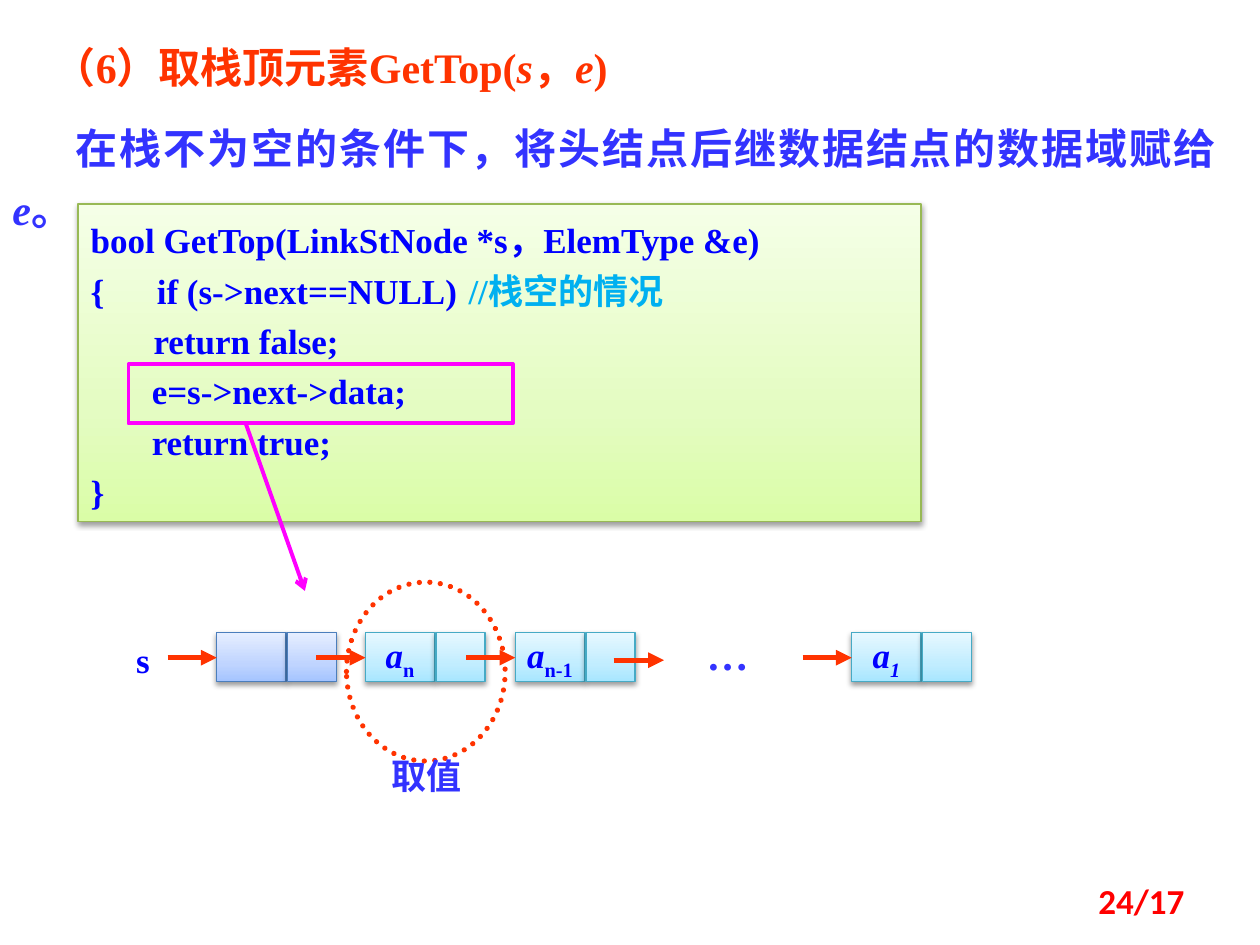
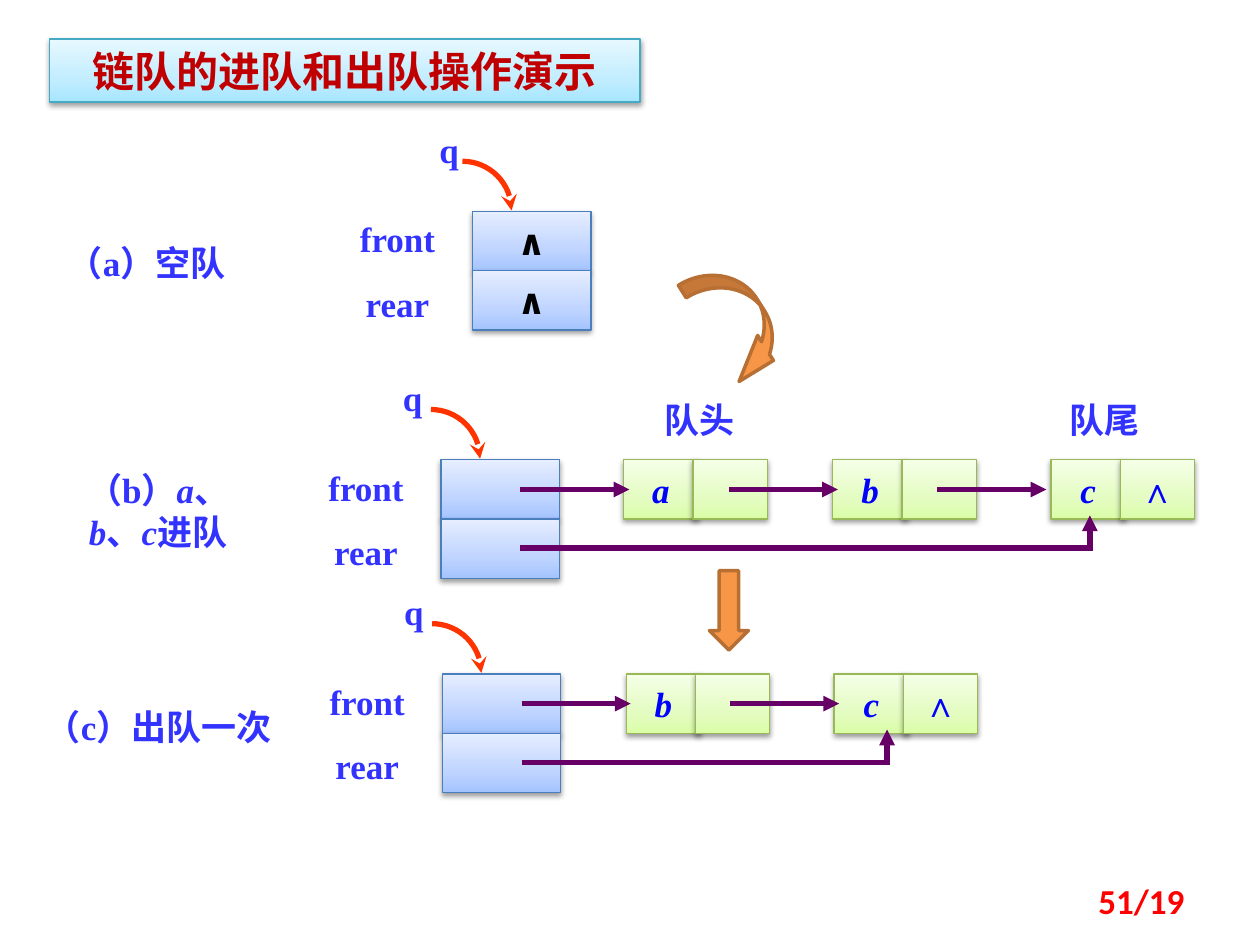
from dataclasses import dataclass
from math import cos, pi, sin
from typing import NamedTuple

from lxml import etree
from pptx import Presentation
from pptx.dml.color import RGBColor
from pptx.enum.dml import MSO_LINE
from pptx.enum.shapes import MSO_CONNECTOR, MSO_SHAPE as Preset
from pptx.enum.text import MSO_ANCHOR as Anchor, PP_ALIGN as Align
from pptx.oxml.ns import qn
from pptx.util import Inches, Pt

# Shared look
COLORS = {
    "heading": "FF3300", "body": "3333FF", "code": "0000FF", "comment": "00B0F0",
    "title": "C00000", "page": "FF0000", "black": "000000", "pointer": "FF3300",
    "link": "660066", "highlight": "FF00FF", "step": "F79646", "step_edge": "B76F34",
}
SERIF, SANS, CJK = "Times New Roman", "Calibri", "Noto Sans CJK SC"


class Shade(NamedTuple):
    stops: tuple[str, str, str]
    edge: str


BLUE = Shade(("A4C4FF", "BFD4FF", "E6EEFF"), "4B7EBC")
CYAN = Shade(("A7E6FF", "C1EDFF", "E7F8FF"), "46AAC5")
GREEN = Shade(("DAFDA7", "E4FCC2", "F5FFE7"), "98B955")


class Span(NamedTuple):
    text: str
    italic: bool = False
    color: str = ""
    sub: bool = False


@dataclass
class Style:
    size: int = 20
    color: str = "body"
    font: str = SERIF
    align: Align = Align.CENTER


@dataclass
class ListNode:
    left: float
    shade: Shade
    label: tuple[Span, ...] = ()


@dataclass
class Queue:
    left: float
    top: float
    q_left: float
    nodes: tuple[tuple[float, str], ...] = ()
    rear_tip: float = 0
    mark: str = ""


LABEL = Style()
VALUE = Style(color="code")
CODE = Style(color="code", align=Align.LEFT)
HEADING = Style(24, "heading", align=Align.JUSTIFY)
INTRO = Style(24, "body", align=Align.JUSTIFY)
TITLE = Style(24, "title", CJK)
NULL_MARK = Style(color="black", font=SANS)
PAGE = Style(color="page", font=SANS, align=Align.RIGHT)


def rgb(name: str) -> RGBColor:
    return RGBColor.from_string(COLORS.get(name, name))


def write(paragraph, spans: tuple[Span, ...], style: Style) -> None:
    paragraph.alignment = style.align
    for span in spans:
        run = paragraph.add_run()
        run.text = span.text
        font = run.font
        font.size, font.bold, font.italic = Pt(style.size), True, span.italic
        font.color.rgb = rgb(span.color or style.color)
        font.name = style.font
        properties = run.element if hasattr(run, "element") else run._r
        properties = properties.get_or_add_rPr()
        etree.SubElement(properties, qn("a:ea")).set("typeface", CJK)
        if span.sub:
            properties.set("baseline", "-25000")


def add_text(slide, left, top, width, height, spans, style=LABEL):
    if isinstance(spans, str):
        spans = (Span(spans),)
    box = slide.shapes.add_textbox(Inches(left), Inches(top), Inches(width), Inches(height))
    box.text_frame.word_wrap = True
    write(box.text_frame.paragraphs[0], spans, style)
    return box.text_frame


def outline(shape, color: str, width: float, tail: str = "") -> None:
    shape.line.color.rgb = rgb(color)
    shape.line.width = Pt(width)
    if tail:
        ln = shape.element.spPr.find(qn("a:ln"))
        etree.SubElement(ln, qn("a:tailEnd")).set("type", tail)


def add_preset(slide, preset, left, top, width, height, color, line_width, fill=""):
    shape = slide.shapes.add_shape(preset, Inches(left), Inches(top), Inches(width), Inches(height))
    shape.shadow.inherit = False
    if fill:
        shape.fill.solid()
        shape.fill.fore_color.rgb = rgb(fill)
    else:
        shape.fill.background()
    outline(shape, color, line_width)
    return shape


def add_color(parent, color: str):
    element = etree.SubElement(parent, qn("a:srgbClr"))
    element.set("val", color)
    return element


def add_cell(slide, left, top, width, height, shade: Shade, spans=(), style=VALUE):
    """Shaded, shadowed rectangle with centred content."""
    cell = add_preset(slide, Preset.RECTANGLE, left, top, width, height, shade.edge, 0.75)
    cell.fill.gradient()
    cell.fill.gradient_angle = 90
    properties = cell.element.spPr
    stops = properties.find(".//" + qn("a:gsLst"))
    for stop in list(stops):
        stops.remove(stop)
    for position, color in zip((0, 35000, 100000), shade.stops):
        stop = etree.SubElement(stops, qn("a:gs"))
        stop.set("pos", str(position))
        add_color(stop, color)
    shadow = etree.SubElement(properties.find(qn("a:effectLst")), qn("a:outerShdw"))
    for key, value in (("blurRad", Pt(3.1)), ("dist", Pt(1.6)), ("dir", 5400000), ("rotWithShape", 0)):
        shadow.set(key, str(int(value)))
    etree.SubElement(add_color(shadow, COLORS["black"]), qn("a:alpha")).set("val", "38000")
    frame = cell.text_frame
    frame.word_wrap, frame.vertical_anchor = False, Anchor.MIDDLE
    write(frame.paragraphs[0], spans, style)
    return cell


def add_line(slide, x1, y1, x2, y2, color, width=3.0, tail="triangle") -> None:
    line = slide.shapes.add_connector(
        MSO_CONNECTOR.STRAIGHT, Inches(x1), Inches(y1), Inches(x2), Inches(y2))
    outline(line, color, width, tail)
    etree.SubElement(line.element.spPr, qn("a:effectLst"))


def add_quarter_arrow(slide, left, top, radius=0.39, steps=16) -> None:
    angles = [pi / 2 * step / steps for step in range(steps + 1)]
    points = [(Inches(left + radius * sin(a)), Inches(top + radius * (1 - cos(a)))) for a in angles]
    builder = slide.shapes.build_freeform(*points[0])
    builder.add_line_segments(points[1:], close=False)
    curve = builder.convert_to_shape()
    curve.shadow.inherit = False
    curve.fill.background()
    outline(curve, "pointer", 3, "stealth")


def add_page_number(slide, text: str) -> None:
    add_text(slide, 7.17, 6.95, 2.33, 0.4, text, PAGE).vertical_anchor = Anchor.MIDDLE


def draw_list_node(slide, node: ListNode) -> None:
    add_cell(slide, node.left, 5.02, 0.55, 0.39, node.shade, node.label)
    add_cell(slide, node.left + 0.56, 5.02, 0.39, 0.39, node.shade)


def draw_queue(slide, queue: Queue) -> None:
    x, y = queue.left, queue.top
    cell_height, link_start, node_step = 0.47, 0.63, 1.655
    # Queue header: front and rear pointers
    for row, name in enumerate(("front", "rear")):
        spans = (Span(queue.mark),) if queue.mark else ()
        add_cell(slide, x, y + row * cell_height, 0.94, cell_height, BLUE, spans, NULL_MARK)
        add_text(slide, x - 1.03, y + row * 0.51, 0.87, 0.43, name)
    add_quarter_arrow(slide, x - 0.08, y - 0.4)
    add_text(slide, queue.q_left, y - 0.71, 0.47, 0.44, "q")
    # Data nodes; the last one ends the chain
    for index, (offset, value) in enumerate(queue.nodes):
        end = (Span("∧"),) if index == len(queue.nodes) - 1 else ()
        add_cell(slide, x + offset, y, 0.59, cell_height, GREEN, (Span(value, True),))
        add_cell(slide, x + offset + 0.55, y, 0.59, cell_height, GREEN, end)
    for index in range(len(queue.nodes)):
        start = x + link_start + index * node_step
        add_line(slide, start, y + 0.235, start + 0.865, y + 0.235, "link")
    if queue.nodes:
        tip = x + queue.rear_tip
        add_line(slide, x + link_start, y + 0.7, tip, y + 0.7, "link", tail="")
        add_line(slide, tip, y + 0.72, tip, y + 0.44, "link")


def build_get_top(slide) -> None:
    # Heading and explanation
    frame = add_text(slide, 0, 0.36, 9.75, 1.11, (
        Span("（6）取栈顶元素GetTop("), Span("s", True), Span("，"), Span("e", True), Span(")")), HEADING)
    heading, intro = frame.paragraphs[0], frame.add_paragraph()
    write(intro, (Span("在栈不为空的条件下，将头结点后继数据结点的数据域赋给"),
                  Span("e", True), Span("。")), INTRO)
    heading.line_spacing, intro.line_spacing, intro.space_before = 0.8, 1.2, Pt(12)
    for paragraph, indent in ((heading, 0.33), (intro, 0.5)):
        paragraph._p.get_or_add_pPr().set("indent", str(Inches(indent)))

    # Code
    listing = add_cell(slide, 0.62, 1.62, 6.69, 2.52, GREEN).text_frame
    listing.word_wrap, listing.vertical_anchor = True, Anchor.TOP
    lines = (
        (Span("bool GetTop(LinkStNode *s，ElemType &e)"),),
        (Span("{      if (s->next==NULL)\t"), Span("//栈空的情况", color="comment")),
        (Span("\treturn false;"),),
        (Span("       e=s->next->data;"),),
        (Span("       return true;"),),
        (Span("}"),),
    )
    for index, spans in enumerate(lines):
        paragraph = listing.add_paragraph() if index else listing.paragraphs[0]
        write(paragraph, spans, CODE)
        paragraph.line_spacing = 1.2

    # Linked stack
    nodes = (
        ListNode(1.72, BLUE),
        ListNode(2.9, CYAN, (Span("a", True), Span("n", sub=True))),
        ListNode(4.09, CYAN, (Span("a", True), Span("n-1", sub=True))),
        ListNode(6.76, CYAN, (Span("a", True), Span("1", True, sub=True))),
    )
    add_text(slide, 0.94, 5.02, 0.39, 0.43, "s", VALUE)
    for node in nodes:
        draw_list_node(slide, node)
    for node in nodes:
        add_line(slide, node.left - 0.39, 5.22, node.left, 5.22, "pointer")
    add_line(slide, 4.87, 5.24, 5.27, 5.24, "pointer")
    add_text(slide, 5.5, 4.94, 0.55, 0.5, "…", Style(24))

    # Value being read
    ring = add_preset(slide, Preset.OVAL, 2.75, 4.62, 1.26, 1.42, "pointer", 3)
    ring.line.dash_style = MSO_LINE.ROUND_DOT
    ring.element.spPr.find(qn("a:ln")).set("cap", "rnd")
    add_text(slide, 2.84, 5.94, 1.09, 0.44, "取值", Style(font=CJK))
    add_preset(slide, Preset.RECTANGLE, 1.02, 2.89, 3.05, 0.47, "highlight", 2.25)
    add_line(slide, 1.95, 3.36, 2.42, 4.69, "highlight", 2.25, "arrow")
    add_page_number(slide, "24/17")


def build_queue_demo(slide) -> None:
    add_cell(slide, 0.39, 0.31, 4.69, 0.5, CYAN, (Span("链队的进队和出队操作演示"),), TITLE)

    # Stage captions
    add_text(slide, 0.3, 1.87, 1.73, 0.44, "（a）空队")
    add_text(slide, 0.39, 3.67, 1.73, 0.77, (
        Span("（b）"), Span("a", True), Span("、"), Span("b", True),
        Span("、"), Span("c", True), Span("进队")))
    add_text(slide, 0.08, 5.55, 2.36, 0.43, "（c）出队一次")

    # Three states of the queue
    for queue in (
        Queue(3.75, 1.68, 3.33, mark="∧"),
        Queue(3.5, 3.65, 3.04, ((1.45, "a"), (3.11, "b"), (4.84, "c")), 5.15),
        Queue(3.51, 5.35, 3.05, ((1.46, "b"), (3.11, "c")), 3.53),
    ):
        draw_queue(slide, queue)
    add_text(slide, 5, 3.11, 1.1, 0.44, "队头")
    add_text(slide, 8.22, 3.11, 1.1, 0.44, "队尾")

    # Steps between states
    enqueue = add_preset(slide, Preset.CURVED_LEFT_ARROW, 5.62, 2.06, 0.47, 1.02, "step_edge", 2, "step")
    enqueue.rotation = 327.7
    for index, value in enumerate((0.25, 0.5, 0.68)):
        enqueue.adjustments[index] = value
    add_preset(slide, Preset.DOWN_ARROW, 5.63, 4.53, 0.31, 0.63, "step_edge", 2, "step")
    add_page_number(slide, "51/19")


def main() -> None:
    deck = Presentation()
    deck.slide_width, deck.slide_height = Inches(10), Inches(7.5)
    for build in (build_get_top, build_queue_demo):
        build(deck.slides.add_slide(deck.slide_layouts[6]))
    deck.save("out.pptx")


if __name__ == "__main__":
    main()
